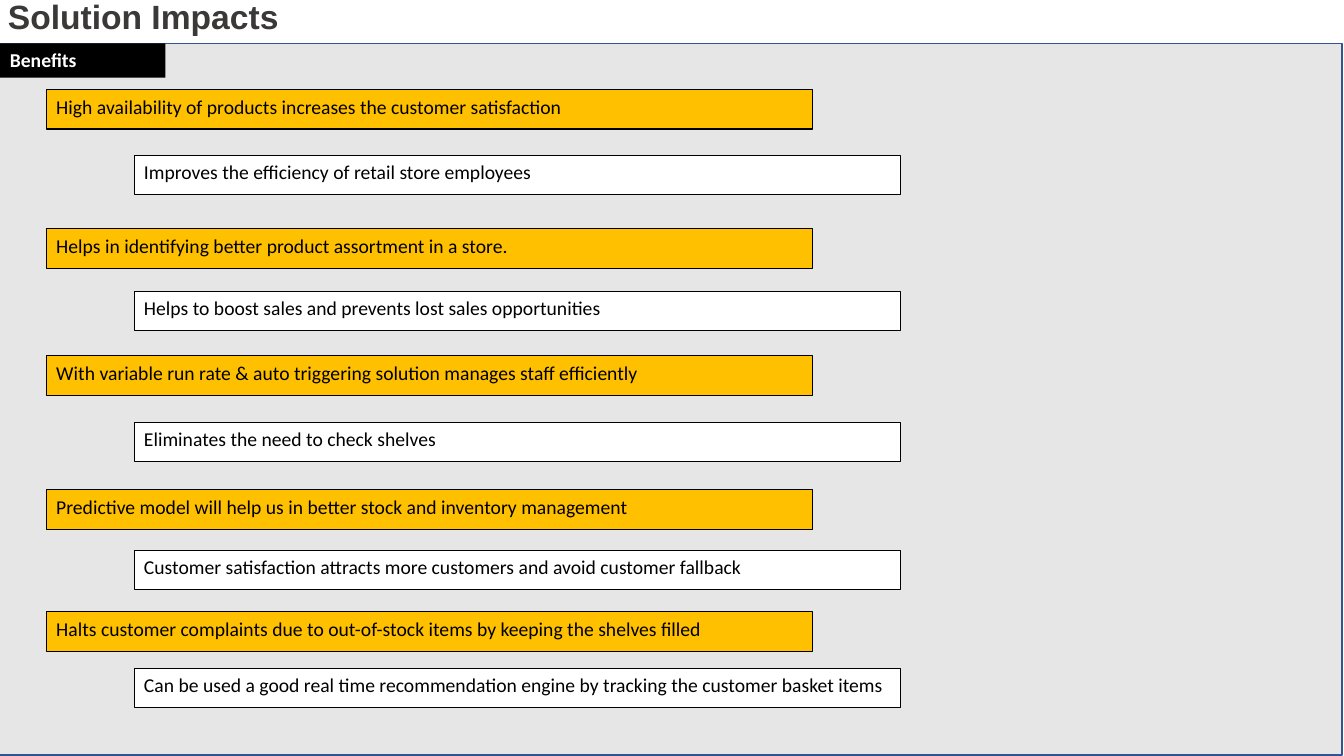
from pptx import Presentation
from pptx import util as u
from pptx.dml.color import RGBColor
from pptx.enum import shapes, text

COLORS = {
    "panel": "E7E6E6", "edge": "325491", "title": "3B3838",
    "gold": "FFC000", "white": "FFFFFF", "black": "000000",
}

# Top of each bar and its wording; bars alternate left gold, right white
BENEFITS = [
    (0.89, "High availability of products increases the customer satisfaction"),
    (1.54, "Improves the efficiency of retail store employees"),
    (2.27, "Helps in identifying better product assortment in a store."),
    (2.89, "Helps to boost sales and prevents lost sales opportunities"),
    (3.53, "With variable run rate & auto triggering solution manages staff efficiently"),
    (4.19, "Eliminates the need to check shelves"),
    (4.86, "Predictive model will help us in better stock and inventory management"),
    (5.46, "Customer satisfaction attracts more customers and avoid customer fallback"),
    (6.07, "Halts customer complaints due to out-of-stock items by keeping the shelves filled"),
    (6.63, "Can be used a good real time recommendation engine by tracking the customer basket items"),
]
STYLES = [(0.46, "gold"), (1.33, "white")]


def color(name):
    return RGBColor.from_string(COLORS[name])


def add_box(slide, place, fill, line=None, width=0.75):
    box = slide.shapes.add_shape(
        shapes.MSO_SHAPE.RECTANGLE, *[u.Inches(n) for n in place])
    box.shadow.inherit = False
    box.fill.solid()
    box.fill.fore_color.rgb = color(fill)
    if line:
        box.line.color.rgb = color(line)
        box.line.width = u.Pt(width)
    else:
        box.line.fill.background()
    return box


def add_words(shape, words, size, ink, font="Calibri", bold=False):
    frame = shape.text_frame
    frame.word_wrap = True
    frame.vertical_anchor = text.MSO_ANCHOR.TOP
    para = frame.paragraphs[0]
    para.alignment = text.PP_ALIGN.LEFT
    run = para.add_run()
    run.text = words
    run.font.name = font
    run.font.size = u.Pt(size)
    run.font.bold = bold
    run.font.color.rgb = color(ink)


def add_title(slide, words):
    place = (-0.02, -0.09, 13.33, 0.5)
    box = slide.shapes.add_textbox(*[u.Inches(n) for n in place])
    add_words(box, words, 24, "title", "Arial", True)


def main():
    deck = Presentation()
    deck.slide_width = u.Inches(13.33)
    deck.slide_height = u.Inches(7.5)
    slide = deck.slides.add_slide(deck.slide_layouts[6])

    # Panel, title and section label
    add_box(slide, (-0.02, 0.43, 13.33, 7.06), "panel", "edge", 1)
    add_title(slide, "Solution Impacts")
    label = add_box(slide, (0, 0.43, 1.64, 0.34), "black")
    add_words(label, "Benefits", 14, "white", bold=True)

    # Benefit bars
    for i, (top, words) in enumerate(BENEFITS):
        left, fill = STYLES[i % 2]
        bar = add_box(slide, (left, top, 7.6, 0.39), fill, "black")
        add_words(bar, words, 14, "black")

    deck.save("out.pptx")


if __name__ == "__main__":
    main()
